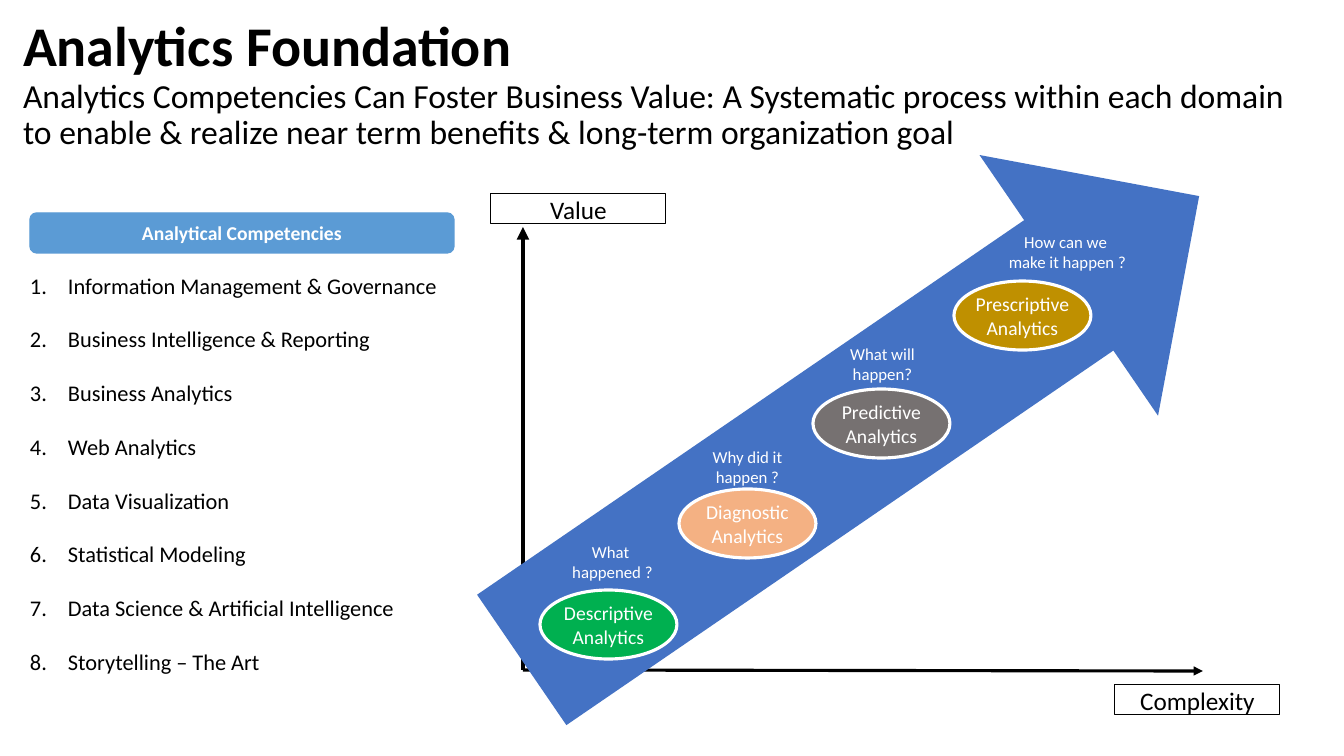
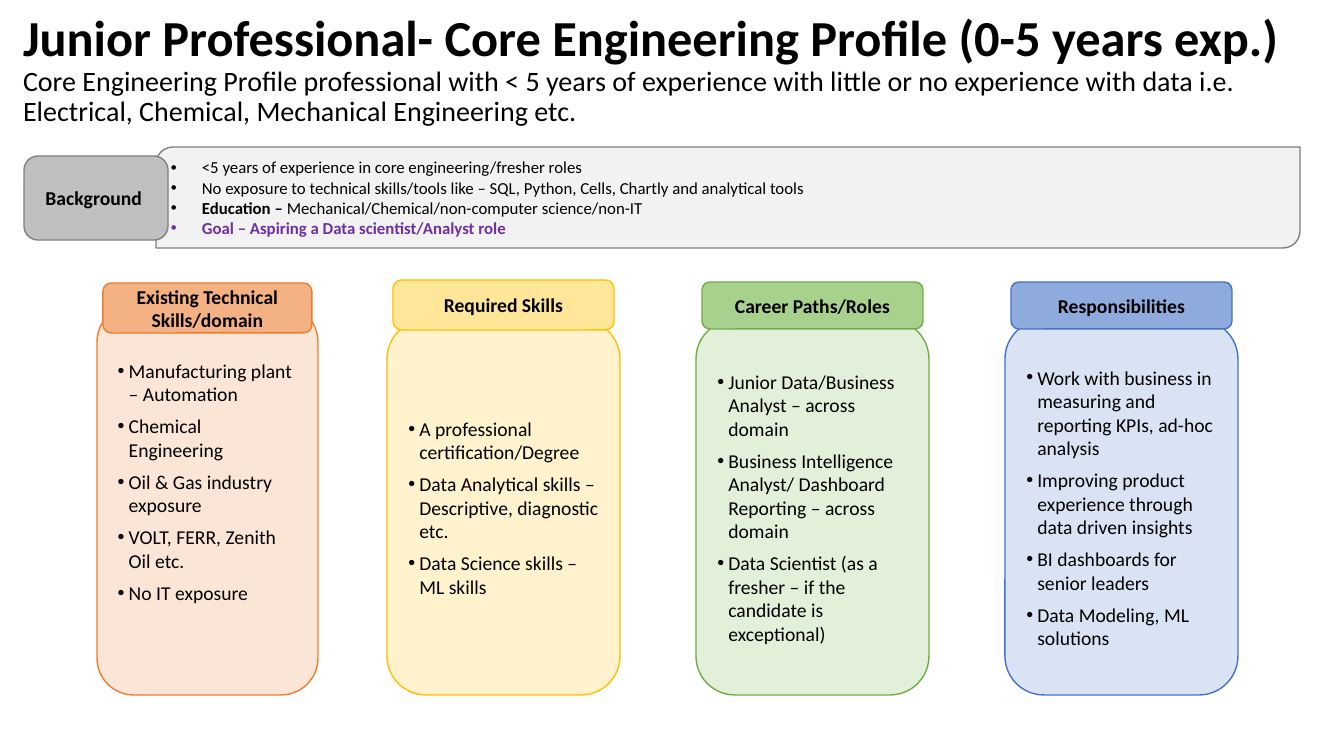
from lxml import etree
from pptx import Presentation
from pptx import util as u
from pptx.dml.color import RGBColor
from pptx.enum import shapes, text
from pptx.oxml.ns import qn

W, H = 1344, 756
FONT = "Calibri"
BLACK, WHITE, BLUE, SKY = "000000", "FFFFFF", "4472C4", "5B9BD5"
GREY, PALE_GREY, MID_GREY, PURPLE = "808080", "F2F2F2", "BFBFBF", "7030A0"
KIND = shapes.MSO_SHAPE
MIDDLE, TOP = text.MSO_ANCHOR.MIDDLE, text.MSO_ANCHOR.TOP
CENTER, LEFT = text.PP_ALIGN.CENTER, text.PP_ALIGN.LEFT

COMPETENCIES = [
    "Information Management & Governance", "Business Intelligence & Reporting",
    "Business Analytics", "Web Analytics", "Data Visualization",
    "Statistical Modeling", "Data Science & Artificial Intelligence",
    "Storytelling – The Art",
]
STAGES = [
    ("Prescriptive", "BF9000", (954, 281), ["How can we ", "make it happen ?"], (980, 232)),
    ("Predictive", "767171", (813, 389), ["What will", "happen?"], (795, 344)),
    ("Diagnostic", "F4B183", (679, 489), ["Why did it", "happen ?"], (660, 447)),
    ("Descriptive", "00B050", (540, 590), ["What ", "happened ?"], (525, 542)),
]
BACKGROUND = [
    "<5 years of experience in core engineering/fresher roles",
    "No exposure to technical skills/tools like – SQL, Python, Cells, Chartly and analytical tools",
    [("Education – ", {"bold": True}), ("Mechanical/Chemical/non-computer science/non-IT", {})],
    [("Goal – Aspiring a Data scientist/Analyst role", {"bold": True, "color": PURPLE})],
]
COLUMNS = [
    dict(panel=(97, 305, 221, 390), head=(283, 50), foot=42,
         colors=("FBE5D6", "F4B183", "ED7D31"), title="Existing Technical Skills/domain",
         items=["Manufacturing plant – Automation", "Chemical Engineering",
                "Oil & Gas industry exposure", "VOLT, FERR, Zenith Oil etc.",
                "No IT exposure"]),
    dict(panel=(387, 320, 233, 375), head=(280, 50),
         colors=("FFF2CC", "FFE699", "FFC000"), title="Required Skills",
         items=["A professional certification/Degree",
                "Data Analytical skills – Descriptive, diagnostic etc.",
                "Data Science skills – ML skills"]),
    dict(panel=(696, 320, 233, 375), head=(282, 47),
         colors=("E2F0D9", "A9D18E", "70AD47"), title="Career Paths/Roles",
         items=["Junior Data/Business Analyst – across domain",
                "Business Intelligence Analyst/ Dashboard Reporting – across domain",
                "Data Scientist (as a fresher – if the candidate is exceptional)"]),
    dict(panel=(1005, 320, 233, 375), head=(282, 47),
         colors=("DAE3F3", "8FAADC", BLUE), title="Responsibilities",
         items=["Work with business in measuring and reporting KPIs, ad-hoc analysis",
                "Improving product experience through data driven insights",
                "BI dashboards for senior leaders", "Data Modeling, ML solutions"]),
]


def px(n):
    """Turn px into EMU."""
    return u.Emu(round(n * 12192000 / W))


def rgb(color):
    """Turn a hex string into a colour."""
    return RGBColor.from_string(color)


def box(s, kind, x, y, w, h, fill=None, line=None, width=1):
    """Add a preset shape, or a text box when kind is None."""
    at = px(x), px(y), px(w), px(h)
    if kind is None:
        return s.shapes.add_textbox(*at)
    sp = s.shapes.add_shape(kind, *at)
    sp.shadow.inherit = False
    if fill:
        sp.fill.solid()
        sp.fill.fore_color.rgb = rgb(fill)
    else:
        sp.fill.background()
    if line:
        sp.line.color.rgb = rgb(line)
        sp.line.width = u.Pt(width)
    else:
        sp.line.fill.background()
    return sp


def write(sp, paras, size=14, color=BLACK, bold=False, align=CENTER, anchor=MIDDLE,
          inset=(0, 0, 0, 0), spacing=None, after=0, indent=0, bullet=None):
    """Fill a shape with paragraphs, each a string or a list of formatted runs."""
    tf = sp.text_frame
    tf.word_wrap = True
    tf.vertical_anchor = anchor
    tf.margin_left, tf.margin_top, tf.margin_right, tf.margin_bottom = map(px, inset)
    for i, para in enumerate(paras):
        p = tf.add_paragraph() if i else tf.paragraphs[0]
        p.alignment = align
        p.space_after = u.Pt(after)
        if spacing:
            p.line_spacing = spacing
        if bullet:
            pPr = p._p.get_or_add_pPr()
            pPr.set("marL", str(px(indent)))
            pPr.set("indent", str(-px(indent)))
            tag, key, value = bullet
            etree.SubElement(pPr, qn("a:buFont")).set("typeface", "Arial" if tag == "a:buChar" else FONT)
            etree.SubElement(pPr, qn(tag)).set(key, value)
        for part, fmt in [(para, {})] if isinstance(para, str) else para:
            if part == "\n":
                p.add_line_break()
                continue
            r = p.add_run()
            r.text = part
            r.font.name = FONT
            r.font.size = u.Pt(fmt.get("size", size))
            r.font.bold = fmt.get("bold", bold)
            r.font.color.rgb = rgb(fmt.get("color", color))


DOT = ("a:buChar", "char", "•")
NUMBER = ("a:buAutoNum", "type", "arabicPeriod")


def heading(s, title, subtitle, height, sizes):
    """Place the bold title with its subtitle below."""
    big, small = sizes
    runs = [(title, {"size": big, "bold": True}), ("\n", {}), (subtitle, {"size": small})]
    write(box(s, None, 13, 12, 1316, height), [runs], align=LEFT,
          inset=(10, 5, 10, 5), spacing=0.9)


def axis(s, x1, y1, x2, y2, width):
    """Draw an arrow-headed axis."""
    c = s.shapes.add_connector(shapes.MSO_CONNECTOR.STRAIGHT, px(x1), px(y1), px(x2), px(y2))
    c.line.color.rgb = rgb(BLACK)
    c.line.width = u.Pt(width)
    spPr = c._element.spPr
    etree.SubElement(spPr.find(qn("a:ln")), qn("a:tailEnd")).set("type", "triangle")
    etree.SubElement(spPr, qn("a:effectLst"))


def axis_label(s, label, x, y, w):
    """Place an outlined axis label."""
    write(box(s, KIND.RECTANGLE, x, y, w, 30, line=BLACK, width=0.75), [label],
          size=18, anchor=TOP)


def value_chart(s, x, y):
    """Draw the axes from their origin and the rising arrow with its stages."""
    axis(s, x, y, x, y - 443, 3)
    axis(s, x, y, x + 680, y + 1, 2.25)
    axis_label(s, "Complexity", x + 592, y + 15, 165)
    axis_label(s, "Value", x - 32, y - 476, 175)
    arrow = box(s, KIND.RIGHT_ARROW, x - 73, y - 400, 821, 316, fill=BLUE)
    arrow.rotation = 325.6
    for name, color, oval, question, caption in STAGES:
        write(box(s, KIND.OVAL, *oval, 137, 69, color, WHITE, 2.25),
              [name + " Analytics"], color=WHITE)
        write(box(s, None, *caption, 175, 37), question, size=12, color=WHITE, anchor=TOP)


def competencies(s, x, y, w):
    """Place the numbered competencies under their band."""
    write(box(s, None, x, y + 32, w + 37, 426), COMPETENCIES, size=16, align=LEFT,
          anchor=TOP, spacing=2, indent=38, bullet=NUMBER)
    write(box(s, KIND.ROUNDED_RECTANGLE, x, y, w, 40, SKY, SKY),
          ["Analytical Competencies"], color=WHITE, bold=True)


def background(s, x, y, w, h):
    """Place the background band and its tab."""
    write(box(s, KIND.ROUND_2_DIAG_RECTANGLE, x + 132, y, w - 132, h, PALE_GREY, GREY),
          BACKGROUND, size=12, align=LEFT, inset=(10, 5, 10, 5), indent=31, bullet=DOT)
    write(box(s, KIND.ROUNDED_RECTANGLE, x, y + 9, 144, h - 17, MID_GREY, GREY),
          ["Background "], bold=True)


def column(s, panel, head, colors, title, items, foot=5):
    """Place a rounded panel of bullets with a header over its top edge."""
    x, y, w, h = panel
    light, strong, line = colors
    top, height = head
    write(box(s, KIND.ROUNDED_RECTANGLE, x, y, w, h, light, line), items, align=LEFT,
          inset=(10, 5, 10, foot), after=6, indent=11, bullet=DOT)
    write(box(s, KIND.ROUNDED_RECTANGLE, x + 6, top, w - 12, height, strong, line),
          [title], bold=True)


def foundation_slide(s):
    """Build the analytics foundation slide."""
    heading(s, "Analytics Foundation",
            "Analytics Competencies Can Foster Business Value: A Systematic process within "
            "each domain to enable & realize near term benefits & long-term organization goal",
            146, (40, 24))
    value_chart(s, 523, 670)
    competencies(s, 30, 213, 424)


def profile_slide(s):
    """Build the junior professional profile slide."""
    background(s, 24, 147, 1276, 101)
    heading(s, "Junior Professional- Core Engineering Profile (0-5 years exp.)",
            "Core Engineering Profile professional with < 5 years of experience with little or "
            "no experience with data i.e. Electrical, Chemical, Mechanical Engineering etc.",
            116, (36, 20))
    for col in COLUMNS:
        column(s, **col)


def main():
    """Build and save the presentation."""
    prs = Presentation()
    prs.slide_width, prs.slide_height = px(W), px(H)
    for build in (foundation_slide, profile_slide):
        build(prs.slides.add_slide(prs.slide_layouts[6]))
    prs.save("out.pptx")


if __name__ == "__main__":
    main()
